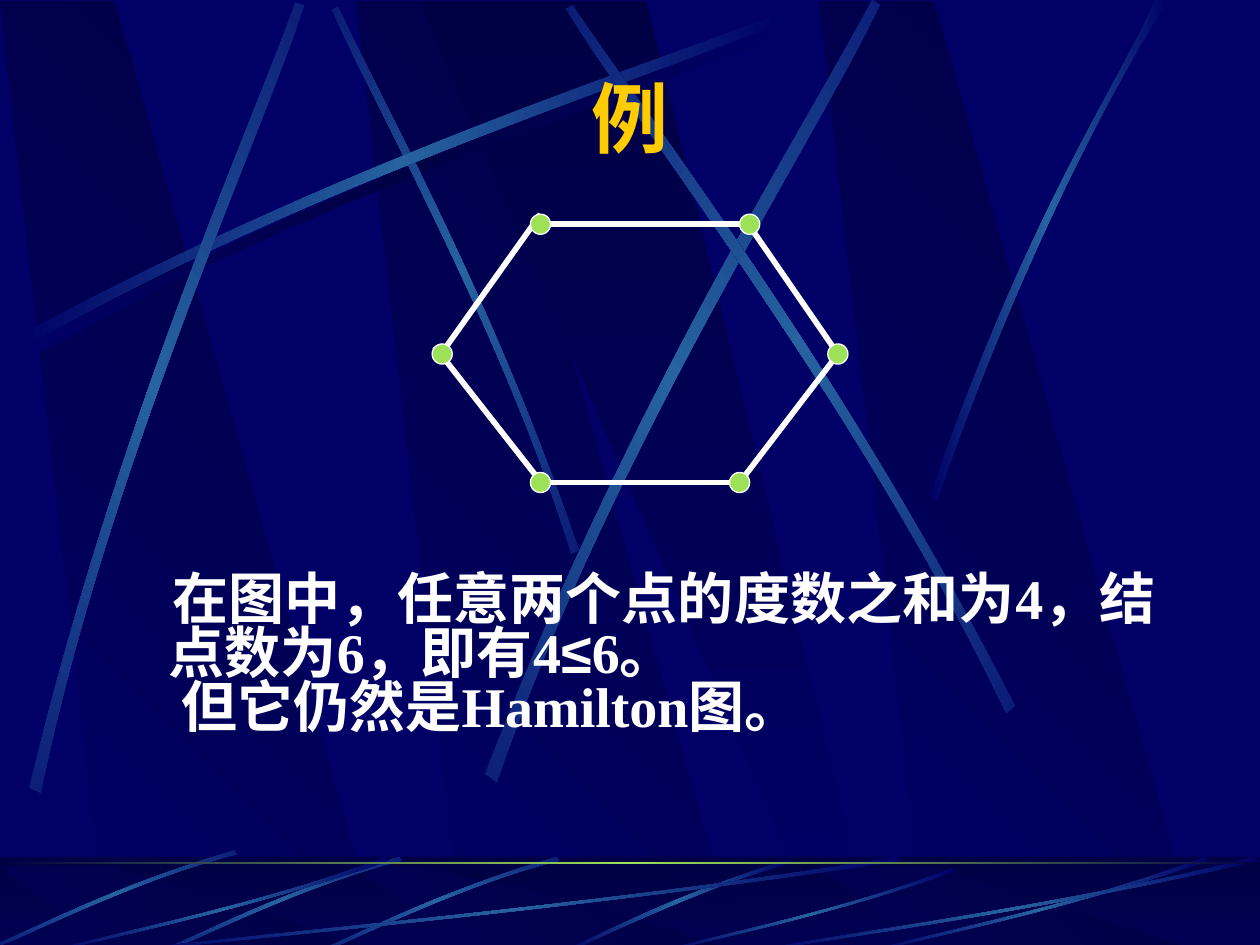
from copy import deepcopy
from math import cos, radians, sin
from lxml.etree import SubElement
from pptx import Presentation
from pptx.dml.color import RGBColor
from pptx.enum.lang import MSO_LANGUAGE_ID
from pptx.enum.shapes import MSO_CONNECTOR, MSO_SHAPE
from pptx.enum.text import MSO_ANCHOR, PP_ALIGN
from pptx.oxml.ns import qn
from pptx.util import Inches, Pt

WIDE, HIGH = 10, 7.5
HUES = {"navy": "000066", "dark": "000044", "beam": "2663A0",
        "lime": "9CE157", "gold": "FFCC00", "white": "FFFFFF"}
BEAM = ("navy", "beam", "navy")

TITLE = "例"
SERIF, SANS = "Times New Roman", "Arial"
# first-line indent, then runs of text and font
BODY = [
    (0.13, [("在图中，任意两个点的度数之和为4，结点数为6，即有4", SERIF),
            ("≤", SANS), ("6。", SERIF)]),
    (0.2, [("但它仍然是Hamilton图。", SERIF)]),
]

EDGES = [(4.29, 1.78, 5.94, 1.78), (4.29, 1.7, 3.5, 2.81), (3.45, 2.75, 4.32, 3.86),
         (4.29, 3.83, 5.87, 3.83), (6.65, 2.81, 5.87, 3.83), (5.94, 1.78, 6.65, 2.81)]
NODES = [(5.95, 1.78), (4.29, 1.78), (3.51, 2.81),
         (6.65, 2.81), (4.29, 3.83), (5.87, 3.83)]
DOT = 0.16

# x of two bottom corners and two top corners, gradient angle
SLANT = (0.86, 3.02, 0.91, 0)
BANDS = [([x + left for x in SLANT], 225) for left in (2.83, 0, 6.5)]
BANDS.append(([6.58, 6.94, 5.13, 3.33], 270))

# each beam: turn, pivot, then one cubic edge out and one cubic edge back
LONG = [(0.14, 2.67), (2.78, 1.25), (5.18, 0.51), (6.2, 0.1),
        (6.23, 0.16), (5.22, 0.61), (2.48, 1.43), (0.17, 2.77)]
BEAMS = [
    (45, (3.62, 2.23), [(4.6, 4.36), (3.91, 2.34), (3.02, 0.77), (2.69, 0.05),
                        (2.64, 0.07), (2.95, 0.79), (3.98, 2.58), (4.54, 4.39)]),
    (0, (0, 0), LONG),
    (311.7, (1.33, 3.16), [(0.23, 6.25), (0.93, 3.34), (1.97, 1.05), (2.34, 0.02),
                           (2.41, 0.04), (2.07, 1.09), (0.86, 3.68), (0.32, 6.29)]),
    (321.6, (5.43, 3.11), [(3.85, 6.14), (4.98, 3.2), (6.38, 1.02), (6.92, 0),
                           (6.98, 0.04), (6.49, 1.08), (4.86, 3.55), (3.94, 6.21)]),
    (34.8, (6.27, 2.86), [(8.06, 5.6), (6.7, 2.93), (5.16, 0.95), (4.55, 0.04),
                          (4.5, 0.07), (5.07, 1.01), (6.85, 3.25), (7.99, 5.66)]),
    (0, (0, 0), [(7.38, 3.94), (8.14, 1.73), (8.88, 0.66), (9.17, 0),
                 (9.27, 0), (8.36, 1.45), (7.69, 3.22), (7.44, 3.97)]),
]
ARC = [(6.27, 6.82), (5.37, 7.09), (4.77, 7.42), (4.48, 7.54),
       (4.53, 7.55), (4.9, 7.37), (5.71, 7), (6.28, 6.85)]
TILT = [(4.42, 6.8), (3.55, 7.05), (2.87, 7.4), (2.56, 7.53),
        (2.57, 7.55), (2.88, 7.43), (3.65, 7.03), (4.44, 6.83)]
HUB = (3.5, 7.18)
SHIFTS = [(0, 0), (-1.25, 0), (-2.56, -0.05)]
# a sweep as shares of its box, then the boxes
SWEEP = [(1, 0.04), (0.57, 0.57), (0.17, 0.85), (0.01, 1),
         (0, 0.99), (0.17, 0.81), (0.62, 0.51), (0.99, 0)]
BOXES = [(1, 6.8, 6.17, 0.75), (0.42, 6.8, 2.67, 0.75), (5.27, 6.89, 2.31, 0.66),
         (6.92, 6.8, 2.67, 0.75), (6, 6.8, 4, 0.75)]
FLOOR = (0, 6.8, WIDE, 0.75)


def color(name):
    return RGBColor.from_string(HUES[name])


def shift(pts, dx, dy):
    return [(x + dx, y + dy) for x, y in pts]


def unturn(pts, turn, mid):
    """Points before a clockwise turn about mid."""
    c, s = cos(radians(turn)), sin(radians(turn))
    return [(mid[0] + x * c + y * s, mid[1] + y * c - x * s)
            for x, y in shift(pts, -mid[0], -mid[1])]


def blend(shape, names, angle):
    """Fill with evenly spaced colours, without outline or shadow."""
    shape.shadow.inherit = False
    shape.line.fill.background()
    fill = shape.fill
    fill.gradient()
    fill.gradient_angle = angle
    stops = shape._element.spPr.find(".//" + qn("a:gsLst"))
    while len(stops) < len(names):
        stops.append(deepcopy(stops[0]))
    for i, (stop, name) in enumerate(zip(fill.gradient_stops, names)):
        stop.color.rgb = color(name)
        stop.position = i / (len(names) - 1)


def plain(shape, name):
    shape.shadow.inherit = False
    shape.fill.solid()
    shape.fill.fore_color.rgb = color(name)


def outline(shapes, pts):
    pts = [(Inches(x), Inches(y)) for x, y in pts]
    pen = shapes.build_freeform(*pts[0])
    pen.add_line_segments(pts[1:], close=True)
    return pen.convert_to_shape()


def beam(shapes, pts, turn=0, mid=(0, 0), names=BEAM):
    shape = outline(shapes, unturn(pts, turn, mid))
    trace = shape._element.spPr.find(".//" + qn("a:path"))
    steps = list(trace)
    for edge in (steps[1:4], steps[5:8]):
        bend = SubElement(trace, qn("a:cubicBezTo"))
        edge[0].addprevious(bend)
        for step in edge:
            bend.append(step[0])
            trace.remove(step)
    shape.rotation = turn
    blend(shape, names, 180)


def block(shapes, kind, box):
    return shapes.add_shape(kind, *map(Inches, box))


def bands(shapes, top, base):
    for xs, angle in BANDS:
        shape = outline(shapes, list(zip(xs, (base, base, top, top))))
        blend(shape, ("dark", "navy"), angle)


def scene(shapes):
    bands(shapes, 0.01, 7.52)
    beam(shapes, shift(LONG, 0.06, 0.08), names=("navy", "dark", "navy"))
    for turn, mid, pts in BEAMS:
        beam(shapes, pts, turn, mid)
    blend(block(shapes, MSO_SHAPE.RECTANGLE, FLOOR), ("dark", "navy"), 270)
    bands(shapes, 6.88, 7.55)
    veil = block(shapes, MSO_SHAPE.RECTANGLE, FLOOR)
    plain(veil, "dark")
    veil.line.fill.background()
    SubElement(veil._element.spPr.find(".//" + qn("a:srgbClr")),
               qn("a:alpha"), val="50000")
    beam(shapes, ARC)
    for move in SHIFTS:
        beam(shapes, shift(TILT, *move), 314.9, shift([HUB], *move)[0])
    for x, y, w, h in BOXES:
        beam(shapes, [(x + w * u, y + h * v) for u, v in SWEEP])
    rule = block(shapes, MSO_SHAPE.RECTANGLE, (0, 6.84, WIDE, 0.02))
    blend(rule, ("dark", "lime", "dark"), 180)


def settle(shapes, master):
    """Move the scenery to the master, with ids of its own."""
    for i, shape in enumerate(list(shapes), 100):
        shape._element.nvSpPr.cNvPr.set("id", str(i))
        master.shapes._spTree.append(shape._element)


def write(para, text, face, size, name):
    run = para.add_run()
    run.text = text
    font = run.font
    font.name, font.size, font.bold = face, Pt(size), True
    font.color.rgb = color(name)
    font.language_id = MSO_LANGUAGE_ID.SIMPLIFIED_CHINESE


def words(shapes):
    frame = shapes.add_textbox(*map(Inches, (0.5, 0.3, 9, 1.25))).text_frame
    frame.word_wrap = True
    frame.vertical_anchor = MSO_ANCHOR.MIDDLE
    para = frame.paragraphs[0]
    para.alignment = PP_ALIGN.CENTER
    write(para, TITLE, "Montserrat", 44, "gold")

    frame = shapes.add_textbox(*map(Inches, (1.14, 4.53, 8.13, 1.41))).text_frame
    frame.word_wrap = True
    for i, (first, runs) in enumerate(BODY):
        para = frame.add_paragraph() if i else frame.paragraphs[0]
        para.alignment = PP_ALIGN.JUSTIFY
        para.line_spacing = 0.8
        props = para._p.get_or_add_pPr()
        props.set("marL", str(Inches(0.1)))
        props.set("indent", str(Inches(first - 0.1)))
        for text, face in runs:
            write(para, text, face, 32, "white")


def graph(shapes):
    for ends in EDGES:
        edge = shapes.add_connector(MSO_CONNECTOR.STRAIGHT, *map(Inches, ends))
        edge.line.color.rgb = color("white")
        edge.line.width = Pt(3.25)
        SubElement(edge._element.spPr, qn("a:effectLst"))
    for x, y in NODES:
        node = block(shapes, MSO_SHAPE.OVAL, (x - DOT / 2, y - DOT / 2, DOT, DOT))
        plain(node, "lime")
        node.line.color.rgb = color("white")
        node.line.width = Pt(0.75)


def main():
    deck = Presentation()
    deck.slide_width, deck.slide_height = Inches(WIDE), Inches(HIGH)
    slide = deck.slides.add_slide(deck.slide_layouts[6])
    back = slide.background.fill
    back.solid()
    back.fore_color.rgb = color("navy")
    scene(slide.shapes)
    settle(slide.shapes, deck.slide_master)
    words(slide.shapes)
    graph(slide.shapes)
    deck.save("out.pptx")


if __name__ == "__main__":
    main()
